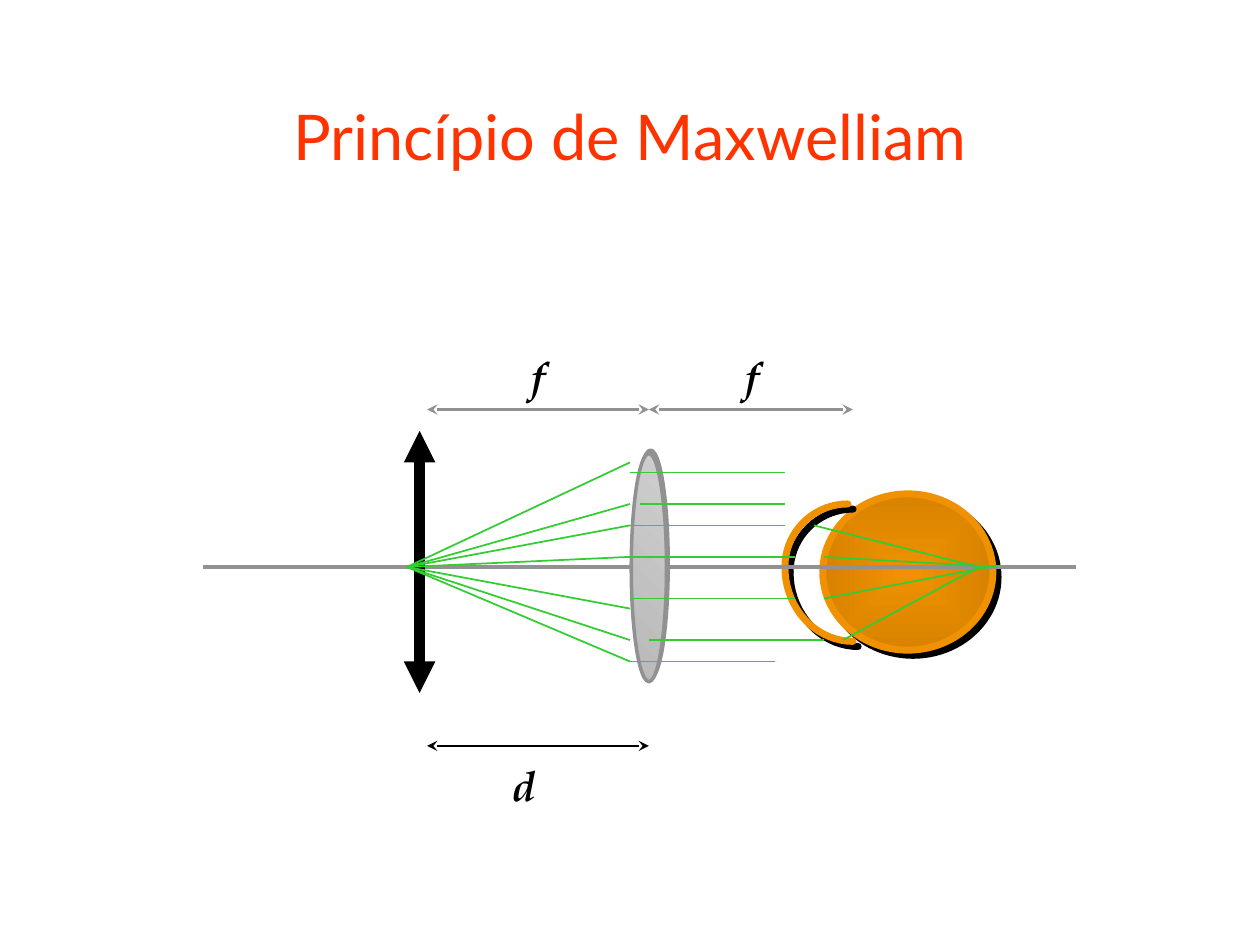
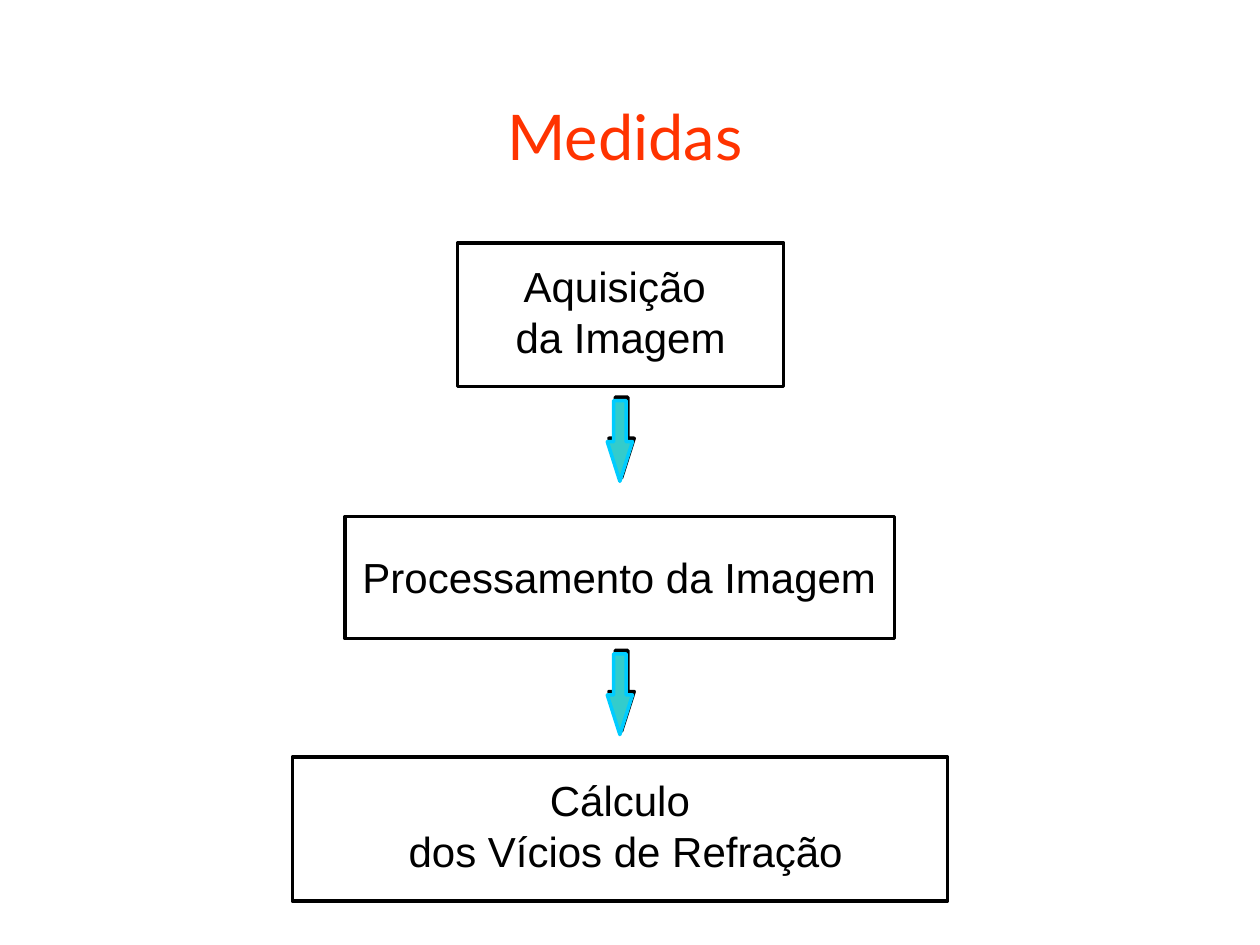
from math import cos, radians, sin

from lxml.etree import SubElement
from pptx import Presentation
from pptx.dml.color import RGBColor
from pptx.enum.shapes import MSO_CONNECTOR as Link, MSO_SHAPE as Form
from pptx.enum.text import MSO_ANCHOR as Anchor, PP_ALIGN as Align
from pptx.oxml.ns import qn
from pptx.util import Emu, Pt

EMU_PER_PX = 9144
BLACK, GRAY, ORANGE = "000000", "919191", "EF9100"
RED, GREEN, TEAL, CYAN = "FF3300", "33CC33", "33CCCC", "00CCFF"
TITLE_FONT, BODY_FONT, SYMBOL_FONT = "Lato", "Arial", "TeX Gyre Pagella"
AXIS = 450
SOURCE_X, LENS_X = 323, 500
DIVERGING_ENDS = (400, 483, 525, 367, 417, 442, 508)
PARALLEL_RAYS = (
    (417, 500, 623), (442, 500, 631), (475, 500, 631), (508, 515, 654),
    (400, 508, 623), (375, 500, 623), (525, 500, 615),
)
CONVERGING_RAYS = (
    (646, 417, 777), (669, 508, 777), (654, 475, 785), (654, 442, 792),
)


def px(length):
    return Emu(length * EMU_PER_PX)


def color(code):
    return RGBColor.from_string(code)


def outline(shape, code, width):
    shape.line.color.rgb = color(code)
    shape.line.width = Pt(width)


def add_shadow(shape, code, distance, angle):
    effects = shape._element.spPr.find(qn("a:effectLst"))
    shadow = SubElement(effects, qn("a:outerShdw"), dist=str(Pt(distance)),
                        dir=str(angle * 60000), algn="ctr", rotWithShape="0")
    SubElement(shadow, qn("a:srgbClr"), val=code)


def add_form(page, form, bounds, line_code, width, fill_code=None):
    shape = page.shapes.add_shape(form, *map(px, bounds))
    shape.shadow.inherit = False
    outline(shape, line_code, width)
    if fill_code:
        shape.fill.solid()
        shape.fill.fore_color.rgb = color(fill_code)
    else:
        shape.fill.background()
    return shape


def set_gradient(shape, codes, angle=None):
    shape.fill.gradient()
    for stop, code, position in zip(shape.fill.gradient_stops, codes, (0, 1)):
        stop.color.rgb = color(code)
        stop.position = position
    if angle is not None:
        shape.fill.gradient_angle = angle
        return
    gradient = shape._element.spPr.find(qn("a:gradFill"))
    gradient.remove(gradient.find(qn("a:lin")))
    center = SubElement(gradient, qn("a:path"), {"path": "rect"})
    SubElement(center, qn("a:fillToRect"), l="50000", t="50000", r="50000", b="50000")


def add_line(shapes, start, end, code, width, tip=None):
    line = shapes.add_connector(Link.STRAIGHT, *map(px, start + end))
    outline(line, code, width)
    SubElement(line._element.spPr, qn("a:effectLst"))
    if tip:
        for name in ("a:headEnd", "a:tailEnd"):
            SubElement(line.line._get_or_add_ln(), qn(name), type=tip)


def add_arc(page, center, radii, first_angle):
    points = []
    for degree in range(first_angle, first_angle + 91, 5):
        angle = radians(degree)
        points.append((round((center[0] + radii[0] * cos(angle)) * EMU_PER_PX),
                       round((center[1] + radii[1] * sin(angle)) * EMU_PER_PX)))
    builder = page.shapes.build_freeform(*points[0])
    builder.add_line_segments(points[1:], close=False)
    arc = builder.convert_to_shape()
    arc.shadow.inherit = False
    arc.fill.background()
    outline(arc, ORANGE, 4)
    arc.line._get_or_add_ln().set("cap", "rnd")
    add_shadow(arc, BLACK, 4.2, 45)


def add_text(page, bounds, lines, font, size, code=BLACK, align=Align.CENTER,
             emphasis=False, wrap=False):
    box = page.shapes.add_textbox(*map(px, bounds))
    frame = box.text_frame
    frame.word_wrap = wrap
    frame.margin_left = frame.margin_right = px(10)
    frame.margin_top = frame.margin_bottom = px(5)
    for index, line in enumerate(lines):
        para = frame.add_paragraph() if index else frame.paragraphs[0]
        para.alignment = align
        span = para.add_run()
        span.text = line
        span.font.name = font
        span.font.size = Pt(size)
        span.font.color.rgb = color(code)
        span.font.bold = span.font.italic = emphasis
    return frame


def add_title(page, text, left, width):
    frame = add_text(page, (left, 17, width, 125), [text], TITLE_FONT, 36, RED, wrap=True)
    frame.vertical_anchor = Anchor.BOTTOM


def add_symbol(page, text, left, top, width):
    add_text(page, (left, top, width, 50), [text], SYMBOL_FONT, 24,
             align=Align.LEFT, emphasis=True)


def add_rays(page):
    rays = page.shapes.add_group_shape().shapes
    for height in DIVERGING_ENDS:
        add_line(rays, (SOURCE_X, AXIS), (LENS_X, height), GREEN, 1)
    for height, start, end in PARALLEL_RAYS:
        add_line(rays, (start, height), (end, height), GREEN, 1)
    for start, height, focus in CONVERGING_RAYS:
        add_line(rays, (start, height), (focus, AXIS), GREEN, 1)


def build_optics(page):
    eye = add_form(page, Form.OVAL, (653, 392, 135, 124), ORANGE, 4)
    set_gradient(eye, (ORANGE, "D78200"))
    add_shadow(eye, BLACK, 4.2, 45)
    add_arc(page, (673, AXIS), (50, 50), 180)
    add_arc(page, (677, AXIS), (54, 59), 90)
    add_line(page.shapes, (854, AXIS), (161, AXIS), GRAY, 2)
    lens = add_form(page, Form.OVAL, (501, 360, 28, 181), GRAY, 2)
    set_gradient(lens, ("B9B9B9", "CECECE"), 45)
    add_shadow(lens, GRAY, 2.2, 296)
    add_line(page.shapes, (333, 342), (333, 550), BLACK, 6, "triangle")
    for start, end, label_left in ((339, 515, 412), (515, 677, 582)):
        add_line(page.shapes, (start, 325), (end, 325), GRAY, 2, "stealth")
        add_symbol(page, "f", label_left, 273, 34)
    add_rays(page)
    add_line(page.shapes, (339, 592), (515, 592), BLACK, 1, "stealth")
    add_symbol(page, "d", 397, 598, 42)
    add_title(page, "Princípio de Maxwelliam", 75, 850)


def build_steps(page):
    add_title(page, "Medidas", 0, 992)
    steps = (
        ((363, 193, 259, 114), (399, 202, 187, 90), ("Aquisição ", "da Imagem")),
        ((274, 410, 436, 97), (266, 433, 451, 50), ("Processamento da Imagem",)),
        ((232, 601, 520, 114), (305, 610, 374, 90), ("Cálculo", " dos Vícios de Refração")),
    )
    for frame_bounds, text_bounds, lines in steps:
        add_form(page, Form.RECTANGLE, frame_bounds, BLACK, 2)
        add_text(page, text_bounds, lines, BODY_FONT, 24, wrap=len(lines) == 1)
    for top in (318, 519):
        arrow = add_form(page, Form.DOWN_ARROW, (482, top, 20, 64), CYAN, 2, TEAL)
        arrow.adjustments[1] = 1.57
        add_shadow(arrow, BLACK, 2.2, 296)


def main():
    deck = Presentation()
    deck.slide_width, deck.slide_height = px(1000), px(750)
    for build in (build_optics, build_steps):
        build(deck.slides.add_slide(deck.slide_layouts[6]))
    deck.save("out.pptx")


if __name__ == "__main__":
    main()
